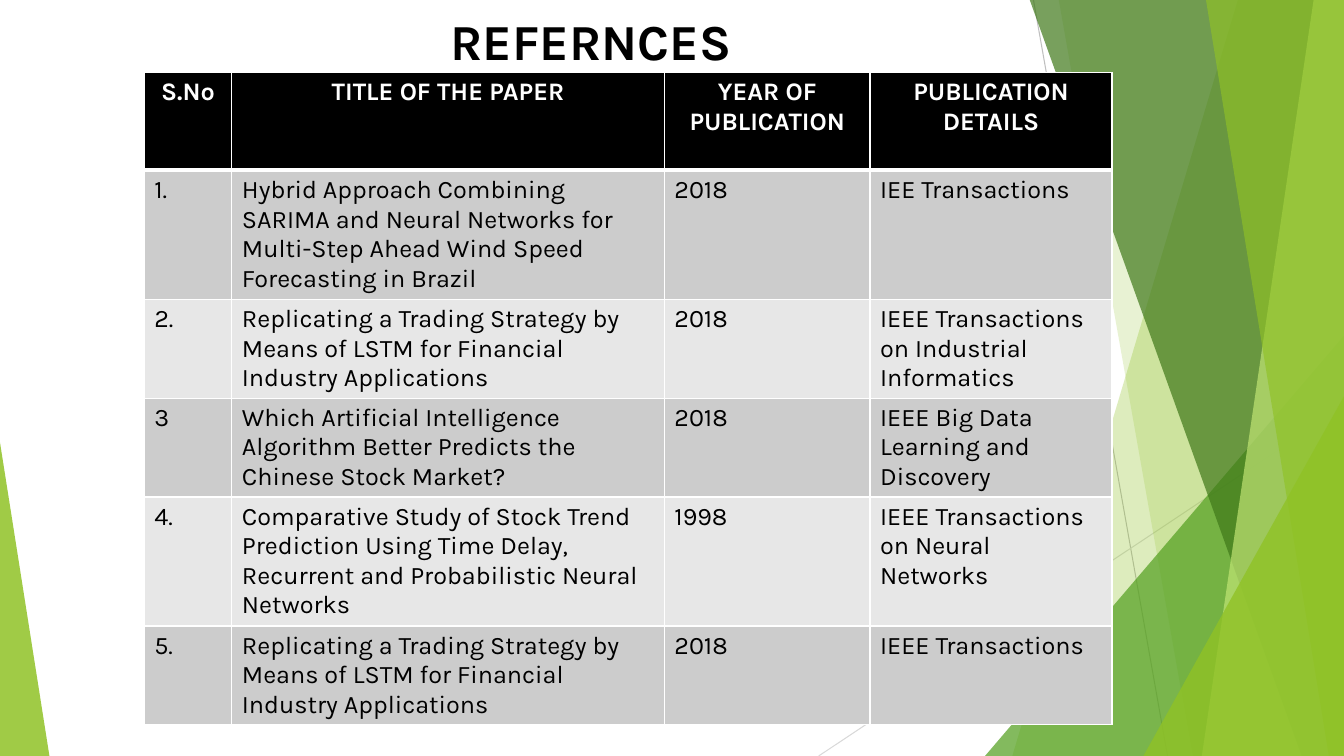
from lxml import etree
from pptx import Presentation
from pptx.dml.color import RGBColor
from pptx.enum import shapes, text
from pptx.oxml import ns
from pptx.util import Inches, Pt

HUES = {
    "black": "000000", "white": "FFFFFF", "dark": "CCCCCC", "pale": "E7E7E7",
    "lime": "90C226", "green": "54A021", "moss": "3F7819", "mint": "C0E474",
    "gray": "BFBFBF", "mist": "D9D9D9",
}
RIGHT, TOP, BASE = 13.33, -0.01, 7.5
COLS = [0.87, 4.29, 2.04, 2.4]
ROWS = [0.97, 1.28, 0.98, 0.98, 1.28, 0.98]
HEAD = ["S.No", "TITLE OF THE PAPER", "YEAR OF PUBLICATION", "PUBLICATION DETAILS"]
TRADE = "Replicating a Trading Strategy by Means of LSTM for Financial Industry Applications"
PAPERS = [
    ["1.", "Hybrid Approach Combining SARIMA and Neural Networks for Multi-Step Ahead "
     "Wind Speed Forecasting in Brazil", "2018", "IEE Transactions"],
    ["2.", TRADE, "2018", "IEEE Transactions on Industrial Informatics"],
    ["3", "Which Artificial Intelligence Algorithm Better Predicts the Chinese Stock Market?",
     "2018", "IEEE Big Data Learning and Discovery"],
    ["4.", "Comparative Study of Stock Trend Prediction Using Time Delay, Recurrent and "
     "Probabilistic Neural Networks", "1998", "IEEE Transactions on Neural Networks"],
    ["5.", TRADE, "2018", "IEEE Transactions"],
]


def color(name):
    return RGBColor.from_string(HUES[name])


def write(frame, words, size=18, hue="black", bold=False, align=text.PP_ALIGN.LEFT):
    frame.word_wrap = True
    par = frame.paragraphs[0]
    par.alignment = align
    run = par.add_run()
    run.text = words
    run.font.name = "Karla"
    run.font.size = Pt(size)
    run.font.bold = bold
    run.font.color.rgb = color(hue)


def paint(shape, hue, alpha):
    shape.shadow.inherit = False
    shape.line.fill.background()
    shape.fill.solid()
    shape.fill.fore_color.rgb = color(hue)
    tint = shape.fill._xPr.find(".//" + ns.qn("a:srgbClr"))
    etree.SubElement(tint, ns.qn("a:alpha"), val=str(alpha * 1000))


def add_line(slide, start, end, hue):
    ends = [Inches(v) for v in (*start, *end)]
    line = slide.shapes.add_connector(shapes.MSO_CONNECTOR.STRAIGHT, *ends)
    line.line.color.rgb = color(hue)
    line.line.width = Pt(0.75)
    etree.SubElement(line._element.spPr, ns.qn("a:effectLst"))


def add_shard(slide, top, foot, hue, alpha):
    points = [(top, TOP), (RIGHT, TOP), (RIGHT, BASE), (foot, BASE)]
    points = [(Inches(x), Inches(y)) for x, y in points]
    pen = slide.shapes.build_freeform(*points[0])
    pen.add_line_segments(points[1:], close=True)
    paint(pen.convert_to_shape(), hue, alpha)


def add_wedge(slide, left, top, width, peak, hue, alpha):
    box = [Inches(v) for v in (left, top, width, BASE - top)]
    wedge = slide.shapes.add_shape(shapes.MSO_SHAPE.ISOSCELES_TRIANGLE, *box)
    wedge.adjustments[0] = peak
    paint(wedge, hue, alpha)


def add_edge(cell, side, width):
    edge = etree.SubElement(cell._tc.get_or_add_tcPr(), ns.qn("a:" + side),
                            w=str(Pt(width)))
    fill = etree.SubElement(edge, ns.qn("a:solidFill"))
    etree.SubElement(fill, ns.qn("a:srgbClr"), val=HUES["white"])


def add_cell(cell, words, row):
    head = row == 0
    for side in ("lnL", "lnR", "lnT", "lnB"):
        thick = (head and side == "lnB") or (row == 1 and side == "lnT")
        add_edge(cell, side, 3 if thick else 1)
    cell.fill.solid()
    cell.fill.fore_color.rgb = color("black" if head else "dark" if row % 2 else "pale")
    if head:
        write(cell.text_frame, words, hue="white", bold=True, align=text.PP_ALIGN.CENTER)
    else:
        write(cell.text_frame, words)


def add_grid(slide):
    box = [Inches(v) for v in (1.43, 0.72, sum(COLS), sum(ROWS))]
    grid = slide.shapes.add_table(len(ROWS), len(COLS), *box).table
    for col, width in zip(grid.columns, COLS):
        col.width = Inches(width)
    for row, height in zip(grid.rows, ROWS):
        row.height = Inches(height)
    for r, line in enumerate([HEAD] + PAPERS):
        for c, words in enumerate(line):
            add_cell(grid.cell(r, c), words, r)


def add_title(slide):
    box = slide.shapes.add_textbox(Inches(2.83), 0, Inches(6.06), Inches(0.79))
    box.text_frame.vertical_anchor = text.MSO_ANCHOR.MIDDLE
    write(box.text_frame, "REFERNCES", size=36, bold=True, align=text.PP_ALIGN.CENTER)


def add_decor(slide):
    add_line(slide, (10.25, 0), (11.58, BASE), "gray")
    add_line(slide, (RIGHT, 4.03), (8.12, BASE), "mist")
    add_shard(slide, 12.28, 10.04, "lime", 30)
    add_shard(slide, 10.5, 11.83, "lime", 20)
    add_wedge(slide, 9.77, 3.33, 3.56, 1, "green", 72)
    add_shard(slide, 10.21, 12.91, "moss", 70)
    add_shard(slide, 13.03, 11.92, "mint", 70)
    add_shard(slide, 11.96, 13.18, "lime", 65)
    add_wedge(slide, 11.34, 3.93, 1.99, 1, "lime", 80)
    add_wedge(slide, 0, 4.39, 0.49, 0, "lime", 85)


def main():
    deck = Presentation()
    deck.slide_width = Inches(RIGHT)
    deck.slide_height = Inches(BASE)
    slide = deck.slides.add_slide(deck.slide_layouts[6])
    add_decor(slide)
    add_grid(slide)
    add_title(slide)
    deck.save("out.pptx")


if __name__ == "__main__":
    main()
